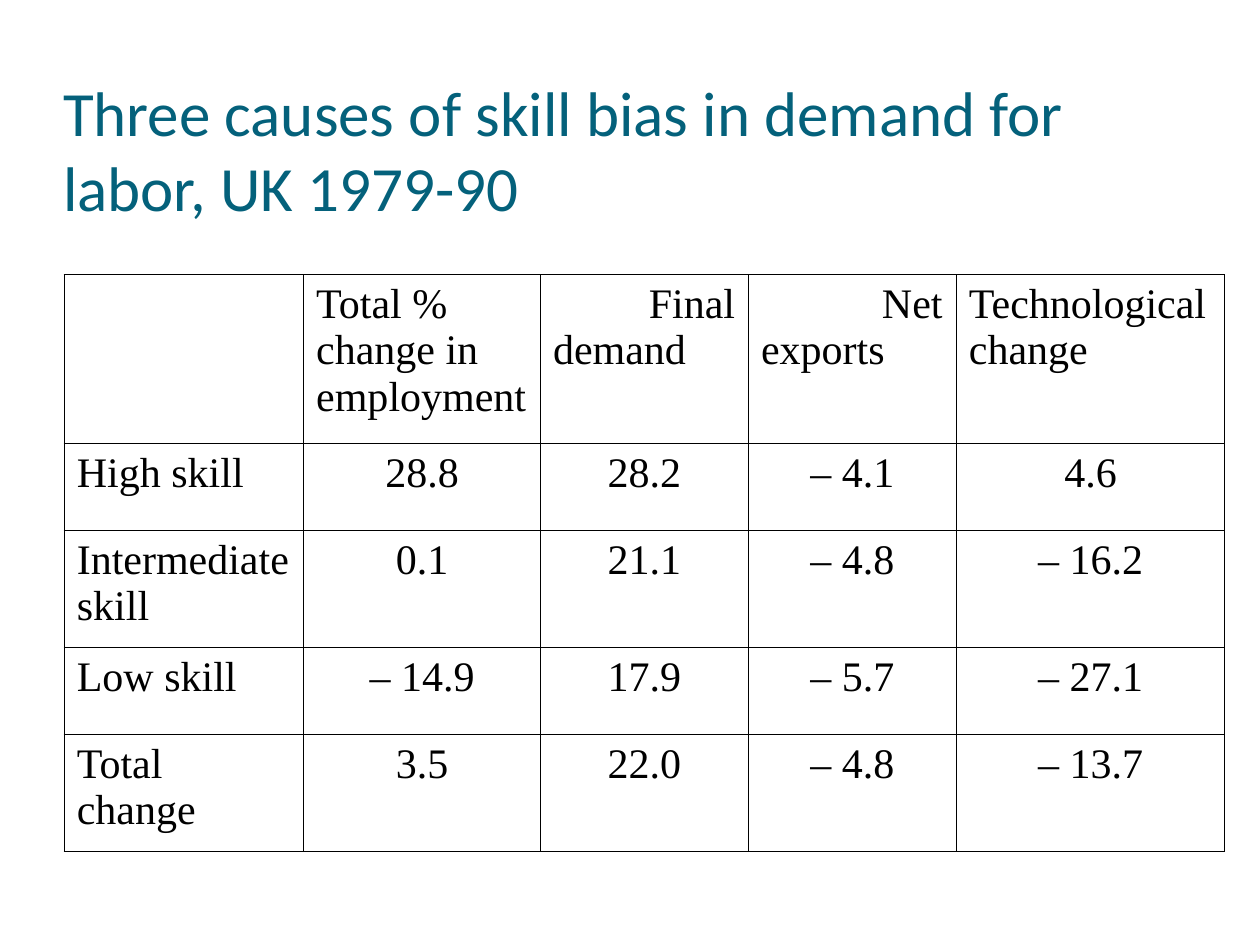
from lxml.etree import SubElement
from pptx import Presentation
from pptx.dml.color import RGBColor
from pptx.enum.text import MSO_ANCHOR, MSO_AUTO_SIZE, PP_ALIGN
from pptx.oxml.ns import qn
from pptx.util import Inches, Pt

TEAL = RGBColor(0x04, 0x61, 0x7B)
BLACK = RGBColor(0, 0, 0)

TITLE = "Three causes of skill bias in demand for labor, UK 1979-90"
TITLE_BOX = (0.5, 0.77, 8.83, 1.01)
TABLE_BOX = (0.51, 2.18, 9.21, 4.58)
COLUMN_WIDTHS = (1.9, 1.88, 1.65, 1.65, 2.13)
ROW_HEIGHTS = (1.34, 0.69, 0.93, 0.69, 0.93)
EMPLOYMENT_ROWS = (
    ("", "Total % change in employment", "Final demand", "Net exports",
     "Technological change"),
    ("High skill", "28.8", "28.2", "– 4.1", "4.6"),
    ("Intermediate skill", "0.1", "21.1", "– 4.8", "– 16.2"),
    ("Low skill", "– 14.9", "17.9", "– 5.7", "– 27.1"),
    ("Total change", "3.5", "22.0", "– 4.8", "– 13.7"),
)
# First-line indents push the first word of these headings to the right
HEADING_INDENTS = {"Final demand": 0.76, "Net exports": 0.96}

TITLE_FONT = {"name": "Calibri", "size": Pt(36)}
TABLE_FONT = {"name": "Times New Roman", "size": Pt(24)}
TITLE_FRAME = {
    "margin_left": 0, "margin_top": Inches(0.05), "margin_right": 0,
    "margin_bottom": 0, "word_wrap": True, "auto_size": MSO_AUTO_SIZE.NONE,
    "vertical_anchor": MSO_ANCHOR.BOTTOM,
}


def apply_format(target, values):
    for attribute, value in values.items():
        setattr(target, attribute, value)


def style_paragraph(paragraph, font, color, alignment):
    apply_format(paragraph.font, font)
    paragraph.font.color.rgb = color
    paragraph.alignment = alignment


def add_title(slide, box):
    heading = slide.shapes.title
    places = map(Inches, box)
    apply_format(heading, dict(zip(("left", "top", "width", "height"), places)))
    apply_format(heading.text_frame, TITLE_FRAME)
    heading.text_frame.text = TITLE
    style_paragraph(heading.text_frame.paragraphs[0], TITLE_FONT, TEAL,
                    PP_ALIGN.LEFT)


def add_borders(cell):
    properties = cell._tc.get_or_add_tcPr()
    for side in ("a:lnL", "a:lnR", "a:lnT", "a:lnB"):
        border = SubElement(properties, qn(side), w=str(Pt(0.75)))
        fill = SubElement(border, qn("a:solidFill"))
        SubElement(fill, qn("a:srgbClr"), val=str(BLACK))


def fill_cell(cell, wording, alignment):
    add_borders(cell)
    cell.fill.background()
    cell.text = wording
    paragraph = cell.text_frame.paragraphs[0]
    if wording in HEADING_INDENTS:
        indent = Inches(HEADING_INDENTS[wording])
        paragraph._p.get_or_add_pPr().set("indent", str(indent))
    style_paragraph(paragraph, TABLE_FONT, BLACK, alignment)


def add_employment_table(slide, box):
    employment = slide.shapes.add_table(
        len(ROW_HEIGHTS), len(COLUMN_WIDTHS), *map(Inches, box)).table
    apply_format(employment, {"first_row": False, "horz_banding": False})
    for column, width in zip(employment.columns, COLUMN_WIDTHS):
        column.width = Inches(width)
    for row, height in zip(employment.rows, ROW_HEIGHTS):
        row.height = Inches(height)

    # Labels are justified, numbers centred
    for r, entries in enumerate(EMPLOYMENT_ROWS):
        for c, wording in enumerate(entries):
            if (r, c) == (0, 1):
                alignment = PP_ALIGN.LEFT
            elif r == 0 or c == 0:
                alignment = PP_ALIGN.JUSTIFY
            else:
                alignment = PP_ALIGN.CENTER
            fill_cell(employment.cell(r, c), wording, alignment)


def main():
    deck = Presentation()
    deck.slide_width, deck.slide_height = Inches(10), Inches(7.5)
    slide = deck.slides.add_slide(deck.slide_layouts[5])  # title only
    add_title(slide, TITLE_BOX)
    add_employment_table(slide, TABLE_BOX)
    deck.save("out.pptx")


if __name__ == "__main__":
    main()
